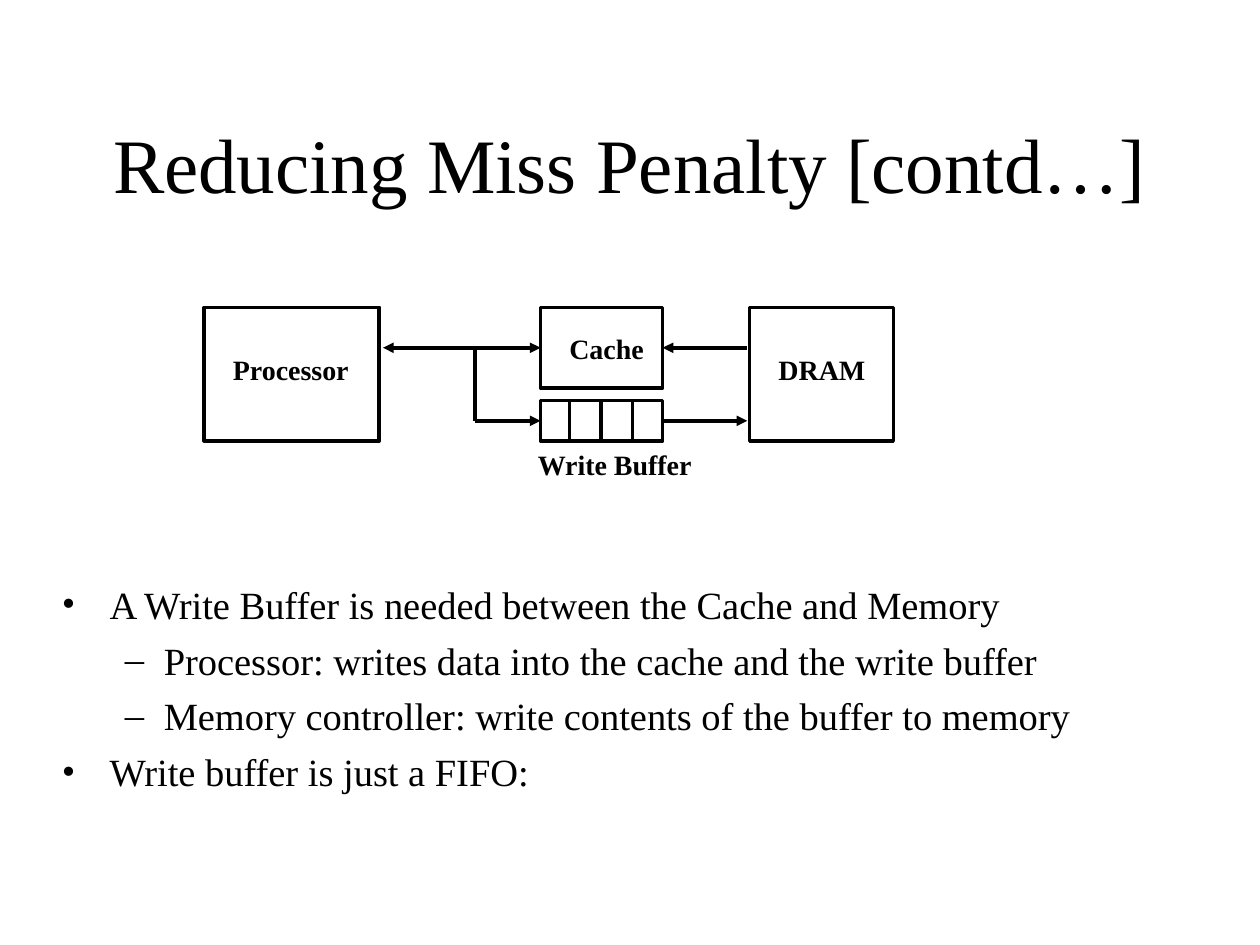
from lxml.etree import SubElement
from pptx import Presentation
from pptx.dml.color import RGBColor
from pptx.enum.shapes import MSO_CONNECTOR, MSO_SHAPE
from pptx.enum.text import MSO_ANCHOR, MSO_AUTO_SIZE, PP_ALIGN
from pptx.oxml.ns import qn
from pptx.util import Inches, Pt

BLACK = RGBColor(0, 0, 0)
LEFT, RIGHT = 1, 3  # connection sites of a rectangle


class SlideBuilder:
    """Holds the slide and its style."""

    font_name = "Times New Roman"
    line_width = Pt(2)
    # bullet character, left margin and hanging indent by level
    bullets = [("•", 0.38, 0.38), ("–", 0.81, 0.31)]

    def __init__(self, slide):
        self.slide = slide

    def style(self, paragraph, size, bold=False):
        font = paragraph.font
        font.name, font.size, font.bold = self.font_name, Pt(size), bold
        font.color.rgb = BLACK

    def place(self, shape, left, top, width, height):
        shape.left, shape.top = Inches(left), Inches(top)
        shape.width, shape.height = Inches(width), Inches(height)

    def title(self, text, *box):
        shape = self.slide.shapes.title
        self.place(shape, *box)
        frame = shape.text_frame
        frame.text = text
        frame.vertical_anchor = MSO_ANCHOR.MIDDLE
        paragraph = frame.paragraphs[0]
        paragraph.alignment = PP_ALIGN.CENTER
        self.style(paragraph, 44)

    def body(self, items, *box):
        shape = self.slide.placeholders[1]
        self.place(shape, *box)
        frame = shape.text_frame
        frame.auto_size = MSO_AUTO_SIZE.NONE
        frame.margin_left = frame.margin_right = Inches(0.07)
        frame.margin_top = frame.margin_bottom = Inches(0.03)
        frame.text = "\n".join(text for _, text in items)
        for index, (paragraph, (level, _)) in enumerate(zip(frame.paragraphs, items)):
            paragraph.level = level
            paragraph.space_before = Pt(5.5 if index else 0)
            character, margin, hanging = self.bullets[level]
            properties = paragraph._p.get_or_add_pPr()
            properties.set("marL", str(Inches(margin)))
            properties.set("indent", str(-Inches(hanging)))
            SubElement(properties, qn("a:buFont"), typeface=self.font_name)
            SubElement(properties, qn("a:buChar"), char=character)
            self.style(paragraph, 22)

    def rectangle(self, *box):
        shape = self.slide.shapes.add_shape(MSO_SHAPE.RECTANGLE, *map(Inches, box))
        shape.shadow.inherit = False
        shape.fill.background()
        shape.line.color.rgb = BLACK
        shape.line.width = self.line_width
        return shape

    def label(self, text, *box):
        frame = self.slide.shapes.add_textbox(*map(Inches, box)).text_frame
        frame.word_wrap = False
        frame.text = text
        self.style(frame.paragraphs[0], 16, bold=True)

    def line(self, start, end, head=False, tail=False, begin=None, finish=None):
        connector = self.slide.shapes.add_connector(
            MSO_CONNECTOR.STRAIGHT, *map(Inches, (*start, *end)))
        connector.line.color.rgb = BLACK
        connector.line.width = self.line_width
        SubElement(connector._element.spPr, qn("a:effectLst"))
        outline = connector.line._get_or_add_ln()
        for wanted, tag in ((head, "a:headEnd"), (tail, "a:tailEnd")):
            if wanted:
                SubElement(outline, qn(tag), type="triangle")
        if begin:
            connector.begin_connect(*begin)
        if finish:
            connector.end_connect(*finish)


def main():
    presentation = Presentation()
    presentation.slide_width, presentation.slide_height = Inches(10), Inches(7.5)
    slide = presentation.slides.add_slide(presentation.slide_layouts[1])
    builder = SlideBuilder(slide)

    # Title and bullet list
    builder.title("Reducing Miss Penalty [contd…]", 0.75, 0.67, 8.5, 1.25)
    builder.body([
        (0, "A Write Buffer is needed between the Cache and Memory"),
        (1, "Processor: writes data into the cache and the write buffer"),
        (1, "Memory controller: write contents of the buffer to memory"),
        (0, "Write buffer is just a FIFO:"),
    ], 0.42, 4.58, 9.03, 1.75)

    # Blocks of the memory system
    builder.rectangle(1.62, 2.44, 1.39, 1.06)
    cache = builder.rectangle(4.29, 2.44, 0.97, 0.64)
    write_buffer = builder.rectangle(4.29, 3.18, 0.97, 0.32)
    builder.rectangle(5.95, 2.44, 1.14, 1.06)
    builder.label("Processor", 1.75, 2.75, 1.12, 0.36)
    builder.label("Cache", 4.42, 2.58, 0.79, 0.36)
    builder.label("Write Buffer", 4.17, 3.5, 1.42, 0.36)
    builder.label("DRAM", 6.08, 2.75, 0.89, 0.36)

    # Slots of the write buffer
    for slot in range(3):
        x = 4.52 + 0.25 * slot
        builder.line((x, 3.19), (x, 3.49))

    # Data paths
    cache_y, buffer_y = 2.76, 3.34
    builder.line((3.04, cache_y), (4.29, cache_y), head=True, tail=True,
                 finish=(cache, LEFT))
    builder.line((3.77, cache_y), (3.77, buffer_y))
    builder.line((3.77, buffer_y), (4.29, buffer_y), tail=True,
                 finish=(write_buffer, LEFT))
    builder.line((5.26, cache_y), (5.93, cache_y), head=True, begin=(cache, RIGHT))
    builder.line((5.26, buffer_y), (5.93, buffer_y), tail=True,
                 begin=(write_buffer, RIGHT))

    presentation.save("out.pptx")


if __name__ == "__main__":
    main()
